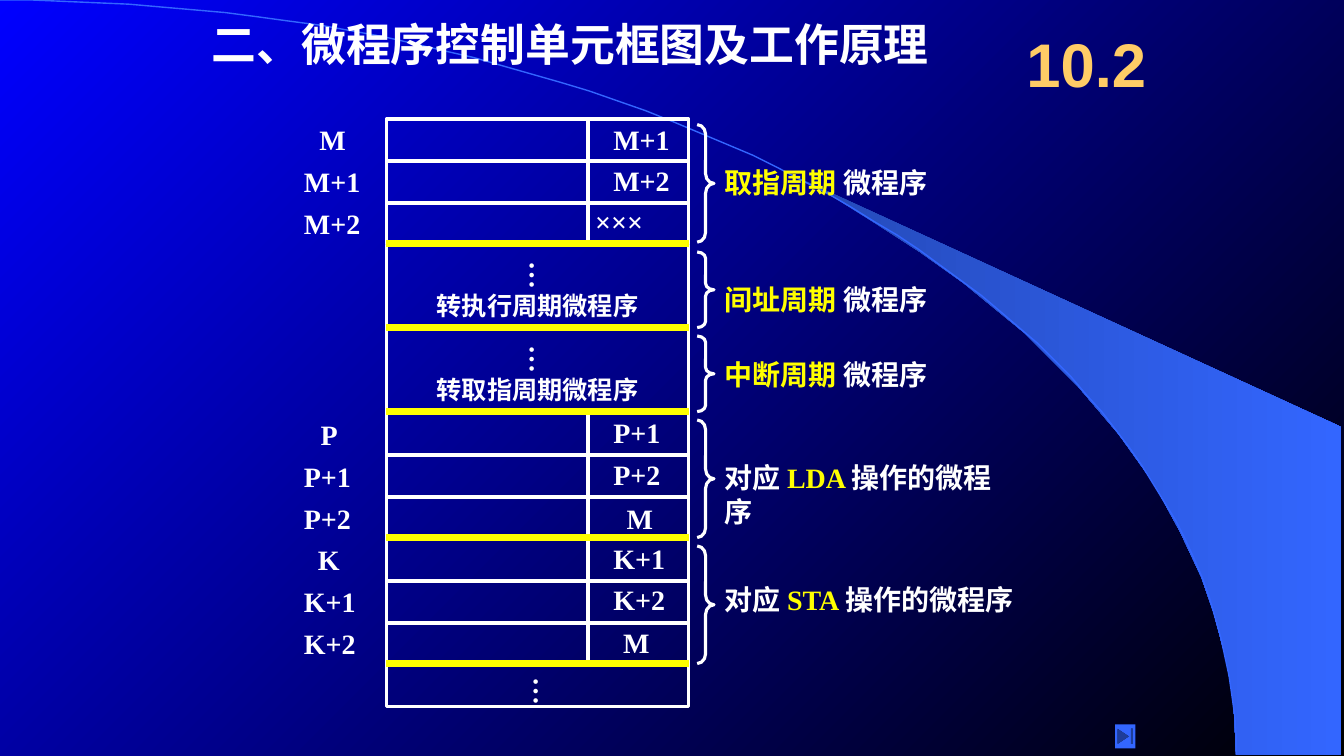
from math import cos, pi, sin

from lxml.etree import SubElement
from pptx import Presentation
from pptx.dml.color import RGBColor
from pptx.enum.shapes import MSO_CONNECTOR, MSO_SHAPE
from pptx.enum.text import MSO_ANCHOR, MSO_AUTO_SIZE, PP_ALIGN
from pptx.oxml.ns import qn
from pptx.util import Pt

WHITE = RGBColor(0xFF, 0xFF, 0xFF)
YELLOW = RGBColor(0xFF, 0xFF, 0x00)
GOLD = RGBColor(0xFF, 0xCC, 0x66)
BLUE = RGBColor(0x00, 0x00, 0xFF)
BLACK = RGBColor(0x00, 0x00, 0x00)
SKY = RGBColor(0x33, 0x66, 0xFF)
DUSK = RGBColor(0x24, 0x49, 0xB6)

# Memory table, in points
LEFT, RIGHT, SPLIT = 276, 492, 420
TOP, ROW = 85, 30
BLOCKS = [(174, 234), (234, 294), (294, 384), (384, 474)]

# Blade of the backdrop, in points
BLADE = [(883.4, 538.6), (958.3, 539.3), (958.3, 304.6), (565.9, 124.6),
         (599, 143.3), (626.4, 159.8), (657.4, 180), (687.6, 201.6),
         (731.5, 237.6), (770.4, 276.5), (799.2, 310.3), (823.7, 344.9),
         (843.1, 380.2), (857.5, 411.8), (866.9, 438.5), (876.2, 472.3),
         (880.6, 501.1)]


def fade(fill, start, end, angle):
    fill.gradient()
    fill.gradient_angle = angle
    for stop, color in zip(fill.gradient_stops, (start, end)):
        stop.color.rgb = color


def outline(shape, color, width):
    shape.line.color.rgb = color
    shape.line.width = Pt(width)


def write(frame, text, size=20, font="Times New Roman", color=WHITE,
          align=PP_ALIGN.LEFT, wrap=False, fit=MSO_AUTO_SIZE.SHAPE_TO_FIT_TEXT,
          anchor=MSO_ANCHOR.TOP):
    """Text is a string or a list of (string, color)."""
    frame.word_wrap = wrap
    frame.auto_size = fit
    frame.vertical_anchor = anchor
    para = frame.paragraphs[0]
    para.alignment = align
    runs = [(text, color)] if isinstance(text, str) else text
    for words, tint in runs:
        run = para.add_run()
        run.text = words
        run.font.size = Pt(size)
        run.font.name = font
        run.font.bold = True
        run.font.color.rgb = tint


def label(slide, text, x, y, w, h=31, **style):
    box = slide.shapes.add_textbox(Pt(x), Pt(y), Pt(w), Pt(h))
    write(box.text_frame, text, **style)
    return box


def dots(slide, x, y):
    box = label(slide, "…", x, y, 39, 27)
    box.text_frame._txBody.bodyPr.set("vert", "eaVert")


def preset(slide, kind, x, y, w, h):
    shape = slide.shapes.add_shape(kind, Pt(x), Pt(y), Pt(w), Pt(h))
    shape.shadow.inherit = False
    return shape


def rule(slide, x1, y1, x2, y2, color=WHITE, width=2.25):
    line = slide.shapes.add_connector(
        MSO_CONNECTOR.STRAIGHT, Pt(x1), Pt(y1), Pt(x2), Pt(y2))
    outline(line, color, width)
    SubElement(line._element.spPr, qn("a:effectLst"))


def cell(slide, row):
    shape = preset(slide, MSO_SHAPE.RECTANGLE,
                   LEFT, TOP + ROW * row, RIGHT - LEFT, ROW)
    shape.fill.background()
    outline(shape, WHITE, 2.25)


def brace(slide, y, height):
    shape = preset(slide, MSO_SHAPE.RIGHT_BRACE, 498, y, 12, height)
    shape.adjustments[0] = 0.58 if height > 60 else 0.38
    shape.fill.background()
    outline(shape, WHITE, 2.25)


def path(slide, points, close):
    build = slide.shapes.build_freeform(
        *points[0], scale=float(Pt(1)))
    build.add_line_segments(points[1:], close=close)
    shape = build.convert_to_shape()
    shape.shadow.inherit = False
    return shape


def backdrop(slide):
    fade(slide.background.fill, BLUE, BLACK, 315)
    blade = path(slide, BLADE, True)
    fade(blade.fill, DUSK, SKY, 0)
    blade.line.fill.background()
    turns = [pi / 2 * i / 60 for i in range(61)]
    arc = path(slide, [(883 * sin(t), 539 * (1 - cos(t))) for t in turns],
               False)
    arc.fill.background()
    outline(arc, SKY, 1)


def table(slide):
    for row in (0, 1, 2, 7, 8, 9, 10, 11, 12, 13):
        cell(slide, row)
    for x in (LEFT, RIGHT):
        rule(slide, x, 175, x, 295)
    rule(slide, LEFT, 235, RIGHT, 235)
    rule(slide, SPLIT, 84, SPLIT, 174)
    rule(slide, SPLIT, 294, SPLIT, 475)
    for y in [BLOCKS[0][0]] + [end for _, end in BLOCKS]:
        rule(slide, LEFT, y, RIGHT, y, YELLOW, 4.5)


def entries(slide):
    # Addresses on the left, next addresses in the cells
    for name, x, first, wide, y in (("M", 221, 34, 56, 84),
                                    ("P", 222, 28, 50, 295),
                                    ("K", 220, 31, 53, 384)):
        label(slide, name, x, y, first)
        for i in (1, 2):
            label(slide, f"{name}+{i}", 210, y + ROW * i, wide)
    for name, wide, y in (("M", 56, 84), ("P", 50, 293.5), ("K", 53, 383)):
        for i in (1, 2):
            label(slide, f"{name}+{i}", 431, y + 29.5 * (i - 1), wide)
    label(slide, "×××", 418, 142.5, 76, wrap=True)
    label(slide, "M", 440.5, 354.5, 34)
    label(slide, "M", 438, 443, 34)

    # Jumps in the merged cells
    for text, y in (("转执行周期微程序", 180), ("转取指周期微程序", 240)):
        dots(slide, 363, y)
        label(slide, text, LEFT, y + 24, RIGHT - LEFT, 29, size=18,
              align=PP_ALIGN.CENTER, wrap=True)
    dots(slide, 366, 476.5)


def notes(slide):
    for y, height in [(89, 84)] + [(a + 6, b - a - 6) for a, b in BLOCKS]:
        brace(slide, y, height)
    for name, y in (("取指周期", 114.5), ("间址周期", 198), ("中断周期", 252)):
        label(slide, [(name + " ", YELLOW), ("微程序", WHITE)],
              510.5, y, 160.5, wrap=True)
    for name, y in (("LDA", 325.5), ("STA", 412.5)):
        label(slide, [("对应 ", WHITE), (name + " ", YELLOW),
                      ("操作的微程序", WHITE)], 510.5, y, 224, wrap=True)


def heading(slide):
    title = slide.shapes.title
    title.left, title.top = Pt(144), Pt(8.5)
    title.width, title.height = Pt(576), Pt(45.5)
    write(title.text_frame, "二、微程序控制单元框图及工作原理", size=32,
          wrap=True, fit=MSO_AUTO_SIZE.NONE)
    title._element.getparent().append(title._element)  # above the backdrop
    label(slide, "10.2", 726, 12, 114, 66, size=44, font="Arial", color=GOLD,
          wrap=True, fit=MSO_AUTO_SIZE.NONE, anchor=MSO_ANCHOR.MIDDLE)


def main():
    deck = Presentation()
    deck.slide_width, deck.slide_height = Pt(960), Pt(540)
    slide = deck.slides.add_slide(deck.slide_layouts[5])
    backdrop(slide)
    heading(slide)
    table(slide)
    entries(slide)
    notes(slide)

    # Button to the last slide
    button = preset(slide, MSO_SHAPE.ACTION_BUTTON_END, 796.5, 517.5, 14.5, 17)
    button.fill.solid()
    button.fill.fore_color.rgb = SKY
    button.line.fill.background()
    deck.save("out.pptx")


if __name__ == "__main__":
    main()
